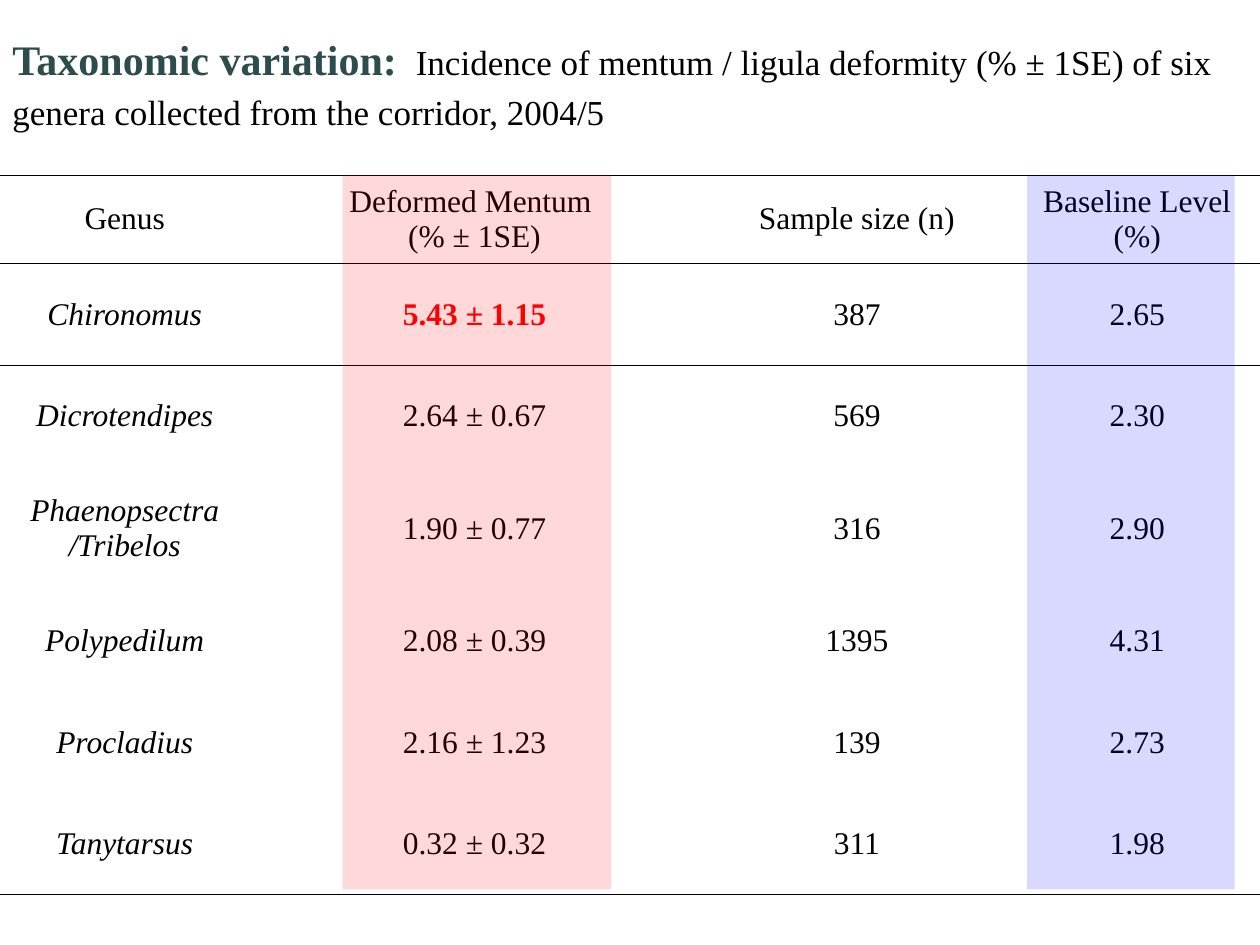
from dataclasses import dataclass

from lxml import etree
from pptx import Presentation
from pptx.dml.color import RGBColor
from pptx.enum.shapes import MSO_SHAPE
from pptx.enum.text import MSO_ANCHOR, PP_ALIGN
from pptx.oxml.ns import qn
from pptx.slide import Slide
from pptx.util import Cm, Pt

RECTANGLE = MSO_SHAPE.RECTANGLE
TOP, MIDDLE = MSO_ANCHOR.TOP, MSO_ANCHOR.MIDDLE
CENTER, LEFT = PP_ALIGN.CENTER, PP_ALIGN.LEFT

COLORS = {"ink": "000000", "heading": "2D4C4D", "alert": "FF0000", "baseline": "0000FF"}
PLAIN_TABLE = "{2D5ABB26-0587-4C30-8999-92F81FD0307C}"

HEADERS = ["Genus", "Deformed Mentum \n(% ± 1SE)", "Sample size (n)", "Baseline Level (%)"]
GENERA = [
    ["Chironomus", "5.43 ± 1.15", "387", "2.65"],
    ["Dicrotendipes", "2.64 ± 0.67", "569", "2.30"],
    ["Phaenopsectra\n/Tribelos", "1.90 ± 0.77", "316", "2.90"],
    ["Polypedilum", "2.08 ± 0.39", "1395", "4.31"],
    ["Procladius", "2.16 ± 1.23", "139", "2.73"],
    ["Tanytarsus", "0.32 ± 0.32", "311", "1.98"],
]
COLUMN_WIDTHS = [5.03, 9.07, 6.35, 4.95]
ROW_HEIGHTS = [1.78, 2.06, 2.03, 2.51, 2.03, 2.06, 2.03]
TABLE_TOP = 3.53
THIN, THICK = 0.45, 0.96


def write(paragraph, text, size=18, color="ink", bold=False, italic=False, font="Times New Roman"):
    run = paragraph.add_run()
    run.text = text
    run.font.name = font
    run.font.size = Pt(size)
    run.font.bold = bold
    run.font.italic = italic
    run.font.color.rgb = RGBColor.from_string(COLORS[color])


def add_border(cell, edge, width):
    line = etree.SubElement(cell._tc.get_or_add_tcPr(), qn(f"a:{edge}"), w=str(Pt(width)))
    fill = etree.SubElement(line, qn("a:solidFill"))
    etree.SubElement(fill, qn("a:srgbClr"), val=COLORS["ink"])


@dataclass
class TaxonomySlide:
    """Builds the parts of the taxonomic variation slide."""

    slide: Slide

    def title(self, left, top, width, height, pieces):
        frame = self.slide.shapes.add_textbox(Cm(left), Cm(top), Cm(width), Cm(height)).text_frame
        frame.word_wrap = True
        frame.vertical_anchor = TOP
        frame.margin_top = frame.margin_bottom = 0
        frame.paragraphs[0].alignment = LEFT
        for text, style in pieces:
            write(frame.paragraphs[0], text, **style)

    def cell(self, cell, text, rules, **style):
        for edge, width in rules.items():
            add_border(cell, edge, width)
        cell.fill.background()
        cell.vertical_anchor = MIDDLE
        for index, line in enumerate(text.split("\n")):
            paragraph = cell.text_frame.add_paragraph() if index else cell.text_frame.paragraphs[0]
            paragraph.alignment = CENTER
            write(paragraph, line, **style)

    def table(self, left, top, rows, widths, heights):
        table = self.slide.shapes.add_table(
            len(rows), len(widths), Cm(left), Cm(top), Cm(sum(widths)), Cm(sum(heights))
        ).table
        table.first_row = table.horz_banding = False
        table._tbl.tblPr.find(qn("a:tableStyleId")).text = PLAIN_TABLE
        for column, width in zip(table.columns, widths):
            column.width = Cm(width)
        for row, height in zip(table.rows, heights):
            row.height = Cm(height)
        rules = {0: {"lnT": THIN, "lnB": THICK}, 1: {"lnT": THICK}, len(rows) - 1: {"lnB": THIN}}
        for r, row in enumerate(rows):
            for c, text in enumerate(row):
                elevated = (r, c) == (1, 1)
                self.cell(
                    table.cell(r, c), text, rules.get(r, {}),
                    italic=r > 0 and c == 0, bold=elevated,
                    color="alert" if elevated else "ink",
                )

    def highlight(self, left, top, width, height, color, opacity=15):
        band = self.slide.shapes.add_shape(RECTANGLE, Cm(left), Cm(top), Cm(width), Cm(height))
        band.shadow.inherit = False
        band.line.fill.background()
        band.fill.solid()
        band.fill.fore_color.rgb = RGBColor.from_string(COLORS[color])
        tint = band.fill._xPr.find(qn("a:solidFill"))[0]
        etree.SubElement(tint, qn("a:alpha"), val=str(opacity * 1000))


def main():
    deck = Presentation()
    deck.slide_width, deck.slide_height = Cm(25.4), Cm(19.05)
    page = TaxonomySlide(deck.slides.add_slide(deck.slide_layouts[6]))
    page.title(0, 0, 24.71, 2.29, [
        ("Taxonomic variation:", {"size": 24, "color": "heading", "bold": True}),
        (" ", {"size": 43}),
        ("Incidence of mentum / ligula deformity (% ± 1SE) of six genera "
         "collected from the corridor, 2004/5", {"size": 20}),
    ])
    page.table(0, TABLE_TOP, [HEADERS, *GENERA], COLUMN_WIDTHS, ROW_HEIGHTS)
    page.highlight(20.7, TABLE_TOP, 4.19, 14.4, "baseline")
    page.highlight(6.91, TABLE_TOP, 5.41, 14.4, "alert")
    deck.save("out.pptx")


if __name__ == "__main__":
    main()
